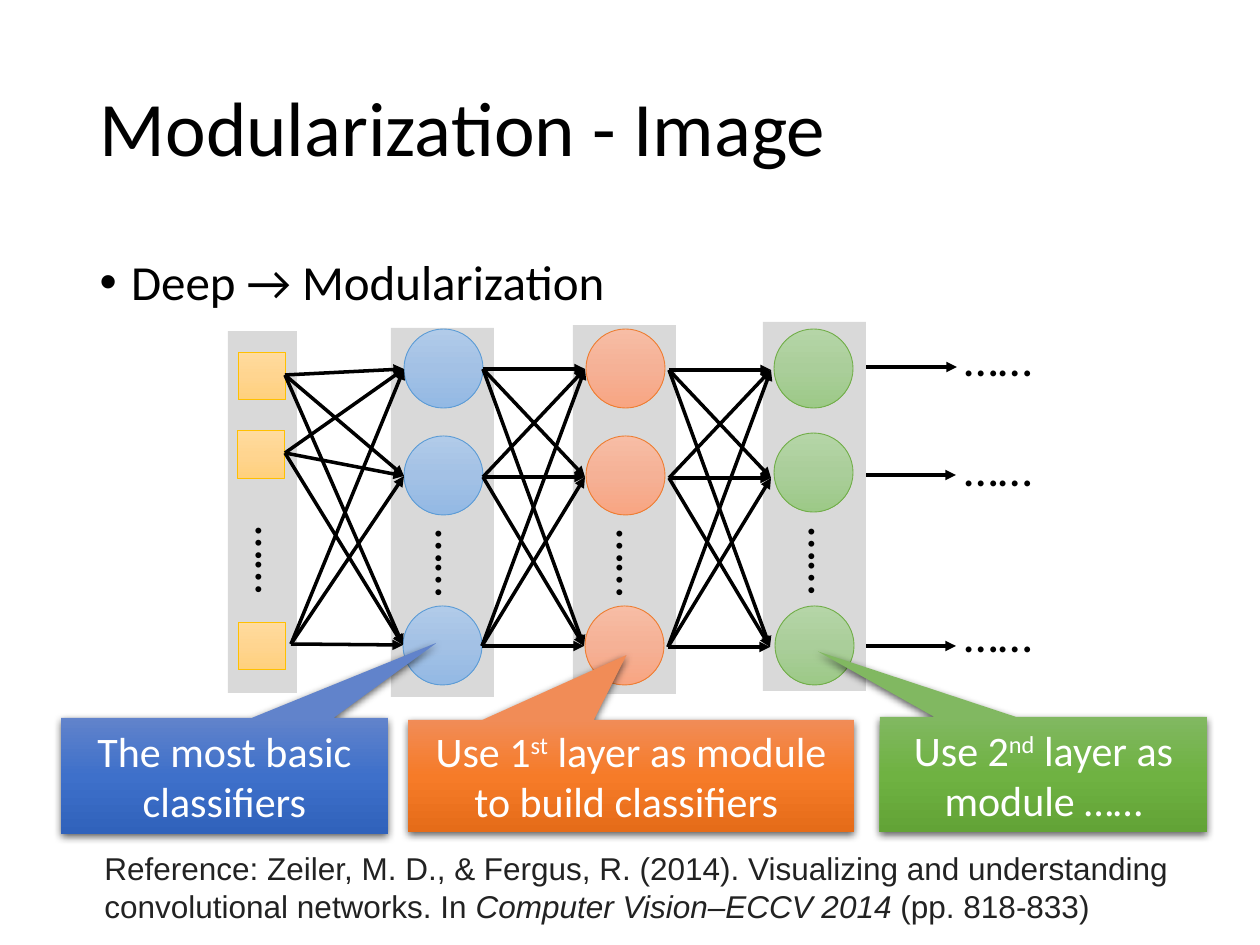
from copy import deepcopy
from itertools import product
from pptx import Presentation
from pptx.dml.color import RGBColor
from pptx.enum.shapes import MSO_CONNECTOR, MSO_SHAPE
from pptx.enum.text import MSO_ANCHOR, MSO_AUTO_SIZE, PP_ALIGN
from pptx.oxml import parse_xml
from pptx.oxml.ns import nsdecls, qn
from pptx.util import Pt

SCALE = 914400 / 126
HUES = {
    "ink": "000000", "white": "FFFFFF", "slab": "D9D9D9", "cite": "222222",
    "gold": "FFC000", "blue": "5B9BD5", "red": "ED7D31", "green": "70AD47",
}
FADES = {
    "gold": ("FFDB9E", "FFD590", "FFD07C"),
    "blue": ("B1CBE9", "A3C1E5", "93B9E4"),
    "red": ("F7BDA5", "F5B196", "F8A582"),
    "green": ("B5D5A7", "AACE9A", "9CC987"),
    "deep blue": ("6183CB", "3E70CA", "3062BB"),
    "deep red": ("F18C57", "F67B28", "E56C19"),
    "deep green": ("81B861", "6FB242", "62A336"),
}
TITLE = "Modularization - Image"
POINT = "Deep → Modularization"
DOTS = "……"
CITE = [
    ("Reference: Zeiler, M. D., & Fergus, R. (2014). Visualizing and "
     "understanding convolutional networks. In\u00a0", {}),
    ("Computer Vision–ECCV 2014", {"italic": True}),
    ("\u00a0(pp. 818-833)", {}),
]
LAYERS = [
    ("gold", MSO_SHAPE.RECTANGLE, 48, (228, 331, 69, 362),
     [(238, 352), (237, 431), (238, 622)], (222, 524)),
    ("blue", MSO_SHAPE.OVAL, 79, (391, 328, 103, 369),
     [(404, 329), (404, 436), (403, 606)], (402, 527)),
    ("red", MSO_SHAPE.OVAL, 79, (573, 325, 103, 369),
     [(586, 329), (586, 436), (585, 606)], (583, 527)),
    ("green", MSO_SHAPE.OVAL, 79, (763, 322, 103, 369),
     [(774, 329), (774, 433), (775, 606)], (775, 525)),
]
WIRES = [
    ([(285, 375), (285, 453), (291, 644)], [(404, 369), (404, 476), (403, 645)]),
    ([(483, 369), (483, 477), (482, 646)], [(585, 369), (585, 477), (584, 646)]),
    ([(669, 370), (669, 478), (668, 647)], [(771, 370), (771, 478), (770, 647)]),
]
EXITS = [((813, 367), (957, 367), 321), ((816, 475), (956, 475), 431),
         ((831, 646), (956, 646), 597)]
CALLS = [
    ("deep blue", (61, 718, 327, 116), (0.65, -1.15),
     [("The most basic classifiers", {})]),
    ("deep red", (408, 720, 446, 112), (-0.01, -1.08),
     [("Use 1", {}), ("st", {"raise": True}),
      (" layer as module to build classifiers ", {})]),
    ("deep green", (880, 717, 327, 115), (-0.69, -1.07),
     [("Use 2", {}), ("nd", {"raise": True}), (" layer as module ……", {})]),
]


def px(*vals):
    return [round(v * SCALE) for v in vals]


def rgb(code):
    return RGBColor.from_string(code)


def apply(item, vals):
    for key, val in vals.items():
        setattr(item, key, val)


def write(frame, runs, size, hue, face="Calibri", **fmt):
    para = frame.paragraphs[0]
    apply(para, fmt)
    for words, style in runs:
        run = para.add_run()
        run.text = words
        apply(run.font, {"size": Pt(size), "name": face,
                         "italic": style.get("italic")})
        run.font.color.rgb = rgb(HUES[hue])
        if style.get("raise"):
            run._r.get_or_add_rPr().set("baseline", "30000")
    return para


def note(box, runs, size, hue, turn=0, **fmt):
    shape = slide.shapes.add_textbox(*px(*box))
    shape.rotation = turn
    apply(shape.text_frame, {"word_wrap": True,
                             "auto_size": MSO_AUTO_SIZE.SHAPE_TO_FIT_TEXT})
    write(shape.text_frame, runs, size, hue, **fmt)


def dots(left, top, turn=0):
    note((left, top, 106, 72), [(DOTS, {})], 28, "ink", turn,
         alignment=PP_ALIGN.CENTER)


def block(kind, box):
    shape = slide.shapes.add_shape(kind, *px(*box))
    shape.shadow.inherit = False
    shape.line.fill.background()
    return shape


def fade(shape, codes):
    shape.fill.gradient()
    shape.fill.gradient_angle = 270
    stops = next(shape._element.spPr.iter(qn("a:gsLst")))
    stops.insert(1, deepcopy(stops[0]))
    for stop, code, place in zip(shape.fill.gradient_stops, codes, (0, 0.5, 1)):
        stop.color.rgb = rgb(code)
        stop.position = place


def arrow(start, end):
    line = slide.shapes.add_connector(MSO_CONNECTOR.STRAIGHT, *px(*start, *end))
    line.line.width = Pt(2)
    line.line.color.rgb = rgb(HUES["ink"])
    line.line._get_or_add_ln().append(
        parse_xml(f'<a:tailEnd {nsdecls("a")} type="triangle"/>'))
    line._element.spPr.append(parse_xml(f'<a:effectLst {nsdecls("a")}/>'))


def shade(shape):
    glow = parse_xml(
        f'<a:outerShdw {nsdecls("a")} blurRad="57150" dist="19050" dir="5400000" '
        'algn="ctr" rotWithShape="0"><a:srgbClr val="000000">'
        '<a:alpha val="63000"/></a:srgbClr></a:outerShdw>')
    shape._element.spPr.find(qn("a:effectLst")).append(glow)


deck = Presentation()
deck.slide_width, deck.slide_height = px(1260, 945)
slide = deck.slides.add_slide(deck.slide_layouts[1])
title, body = slide.placeholders
for item, box in ((title, (87, 40, 1086, 183)), (body, (87, 252, 1086, 600))):
    apply(item, dict(zip(("left", "top", "width", "height"), px(*box))))
title.text_frame.vertical_anchor = MSO_ANCHOR.MIDDLE
write(title.text_frame, [(TITLE, {})], 44, "ink",
      alignment=PP_ALIGN.LEFT, line_spacing=0.9)
para = body.text_frame.paragraphs[0]
props = para._p.get_or_add_pPr()
props.set("marL", "228600")
props.set("indent", "-228600")
props.append(parse_xml(f'<a:buFont {nsdecls("a")} typeface="Arial"/>'))
props.append(parse_xml(f'<a:buChar {nsdecls("a")} char="•"/>'))
write(body.text_frame, [(POINT, {})], 28, "ink",
      line_spacing=0.9, space_before=Pt(0))

for start, end, top in EXITS:
    arrow(start, end)
    dots(945, top)
for hue, kind, size, slab, spots, mark in LAYERS:
    back = block(MSO_SHAPE.RECTANGLE, slab)
    back.fill.solid()
    back.fill.fore_color.rgb = rgb(HUES["slab"])
    for spot in spots:
        node = block(kind, (*spot, size, size))
        fade(node, FADES[hue])
        node.line.color.rgb = rgb(HUES[hue])
        node.line.width = Pt(0.5)
    dots(*mark, 90)
for starts, ends in WIRES:
    for start, end in product(starts, ends):
        arrow(start, end)
for hue, box, tip, runs in CALLS:
    call = block(MSO_SHAPE.RECTANGULAR_CALLOUT, box)
    call.adjustments[0], call.adjustments[1] = tip
    fade(call, FADES[hue])
    shade(call)
    apply(call.text_frame, {"word_wrap": True,
                            "vertical_anchor": MSO_ANCHOR.MIDDLE})
    write(call.text_frame, runs, 24, "white", alignment=PP_ALIGN.CENTER)
note((92, 843, 1090, 89), CITE, 18, "cite", face="Arial")
deck.save("out.pptx")
